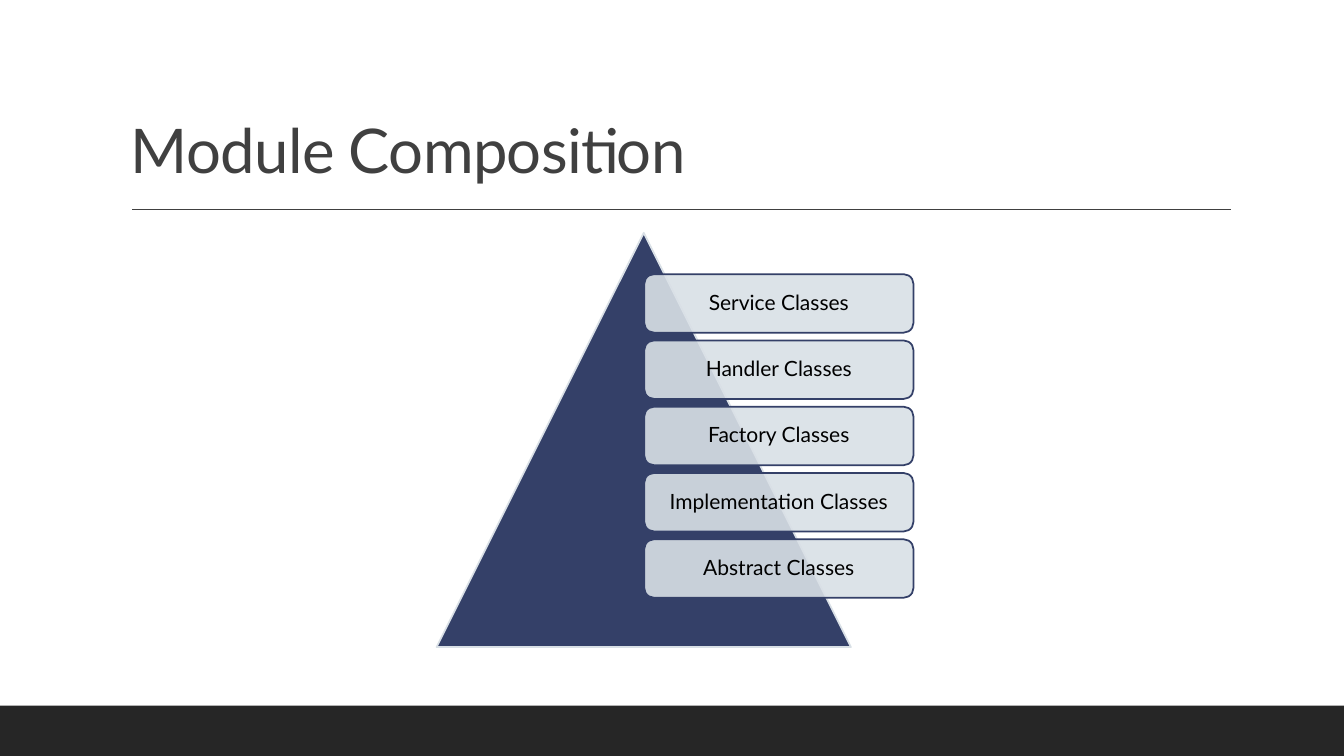
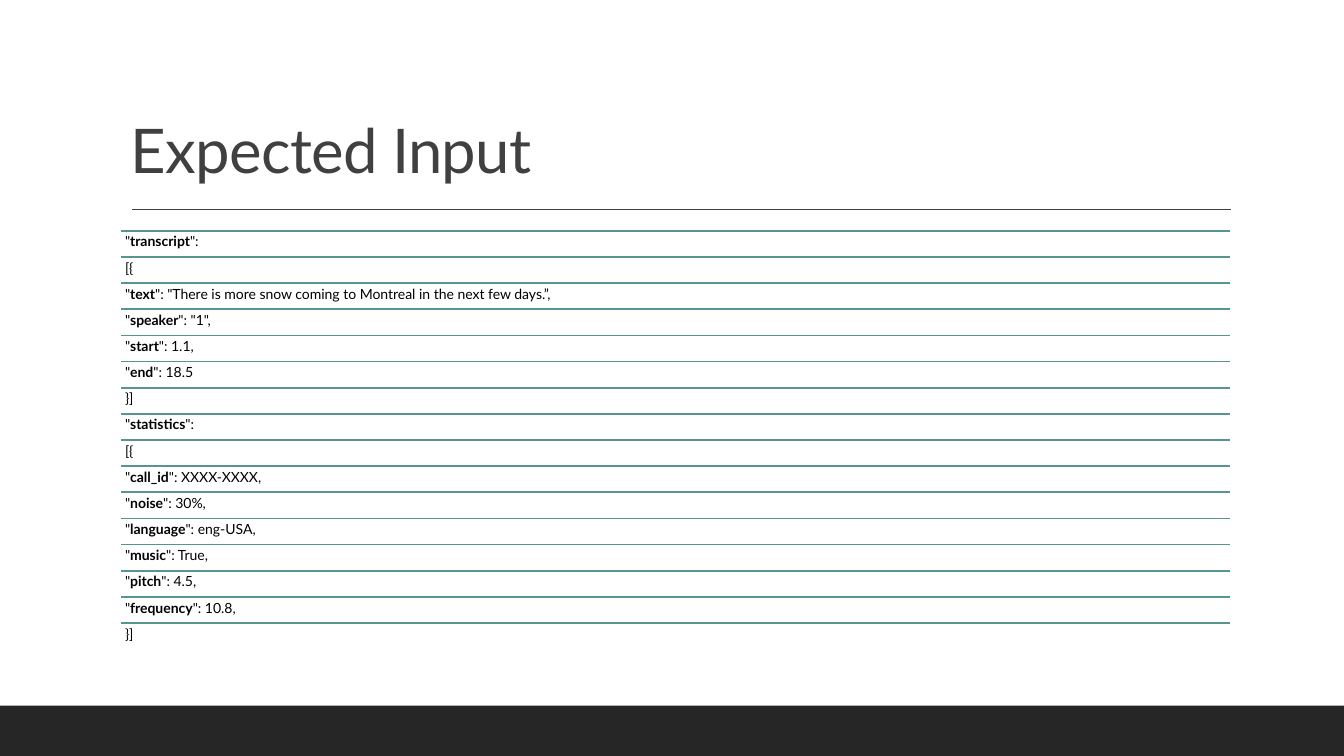
"""Build two slides: module composition and expected input."""
from pptx import Presentation
from pptx.dml.color import RGBColor
from pptx.enum.shapes import MSO_CONNECTOR, MSO_SHAPE
from pptx.enum.text import MSO_ANCHOR, PP_ALIGN
from pptx.oxml.ns import qn
from pptx.util import Inches, Pt

RECTANGLE = MSO_SHAPE.RECTANGLE
ROUNDED = MSO_SHAPE.ROUNDED_RECTANGLE
TRIANGLE = MSO_SHAPE.ISOSCELES_TRIANGLE
STRAIGHT = MSO_CONNECTOR.STRAIGHT
TOP, MIDDLE, BOTTOM = MSO_ANCHOR.TOP, MSO_ANCHOR.MIDDLE, MSO_ANCHOR.BOTTOM
LEFT, CENTER = PP_ALIGN.LEFT, PP_ALIGN.CENTER

FONT = "Lato"
BLACK = RGBColor(0x00, 0x00, 0x00)
CHARCOAL = RGBColor(0x26, 0x26, 0x26)
GREY = RGBColor(0x40, 0x40, 0x40)
NAVY = RGBColor(0x34, 0x40, 0x68)
PALE = RGBColor(0xD9, 0xE0, 0xE6)
TEAL = RGBColor(0x59, 0x94, 0x90)

SLIDE_WIDTH, SLIDE_HEIGHT = 13.33, 7.5
CONTENT_LEFT, CONTENT_WIDTH = 1.2, 11

CLASS_LAYERS = ["Service", "Handler", "Factory", "Implementation", "Abstract"]
INPUT_ROWS = [
    ("transcript", ":"),
    ("", "[{"),
    ("text", ': "There is more snow coming to Montreal in the next few days.”,'),
    ("speaker", ': "1",'),
    ("start", ": 1.1,"),
    ("end", ": 18.5"),
    ("", "}]"),
    ("statistics", ":"),
    ("", "[{"),
    ("call_id", ": XXXX-XXXX,"),
    ("noise", ": 30%,"),
    ("language", ": eng-USA,"),
    ("music", ": True,"),
    ("pitch", ": 4.5,"),
    ("frequency", ": 10.8,"),
    ("", "}]"),
]


def add_shape(slide, kind, left, top, width, height, fill, line=None):
    shape = slide.shapes.add_shape(
        kind, Inches(left), Inches(top), Inches(width), Inches(height))
    shape.shadow.inherit = False
    shape.fill.solid()
    shape.fill.fore_color.rgb = fill
    if line is None:
        shape.line.fill.background()
    else:
        shape.line.color.rgb = line
        shape.line.width = Pt(1.25)
    return shape


def set_opacity(shape, percent):
    color = shape._element.spPr.find(f"{qn('a:solidFill')}/{qn('a:srgbClr')}")
    color.makeelement(qn("a:alpha"), {})
    alpha = color.makeelement(qn("a:alpha"), {"val": str(percent * 1000)})
    color.append(alpha)


def add_rule(slide, left, top, width, color, weight):
    rule = slide.shapes.add_connector(
        STRAIGHT, Inches(left), Inches(top), Inches(left + width), Inches(top))
    rule.line.color.rgb = color
    rule.line.width = Pt(weight)
    properties = rule._element.spPr
    properties.append(properties.makeelement(qn("a:effectLst"), {}))


def add_text_box(slide, left, top, width, height):
    return slide.shapes.add_textbox(
        Inches(left), Inches(top), Inches(width), Inches(height))


def write_text(shape, parts, size, color, anchor, align, inset):
    """Write (text, bold) parts as one paragraph and return its runs."""
    frame = shape.text_frame
    frame.word_wrap = True
    frame.vertical_anchor = anchor
    frame.margin_left = frame.margin_right = Inches(inset)
    frame.margin_top = frame.margin_bottom = Inches(min(inset, 0.05))
    paragraph = frame.paragraphs[0]
    paragraph.alignment = align
    paragraph.line_spacing = 0.9
    for text, bold in parts:
        run = paragraph.add_run()
        run.text = text
        run.font.name = FONT
        run.font.size = Pt(size)
        run.font.bold = bold
        run.font.color.rgb = color
    return paragraph.runs


def add_titled_slide(presentation, title):
    slide = presentation.slides.add_slide(presentation.slide_layouts[6])
    add_shape(slide, RECTANGLE, 0, 7, SLIDE_WIDTH, 0.5, CHARCOAL)
    add_rule(slide, 1.31, 2.08, 10.9, GREY, 1)
    box = add_text_box(slide, CONTENT_LEFT, 0.31, CONTENT_WIDTH, 1.59)
    for run in write_text(box, [(title, False)], 44, GREY, BOTTOM, LEFT, 0.1):
        run.font._element.set("spc", "-50")
    return slide


def add_class_pyramid(slide, layers):
    add_shape(slide, TRIANGLE, 4.33, 2.31, 4.11, 4.11, NAVY, PALE)
    pitch = 2.63 / (len(layers) - 1)
    for index, layer in enumerate(layers):
        card = add_shape(slide, ROUNDED, 6.39, 2.72 + index * pitch,
                         2.67, 0.58, PALE, NAVY)
        set_opacity(card, 90)
        write_text(card, [(f"{layer} Classes", False)], 15, BLACK,
                   MIDDLE, CENTER, 0.09)


def add_ruled_list(slide, rows):
    top, height = 2.29, 4.15 / len(rows)
    for index, (key, rest) in enumerate(rows):
        row_top = top + index * height
        add_rule(slide, CONTENT_LEFT, row_top, CONTENT_WIDTH, TEAL, 1.25)
        box = add_text_box(slide, CONTENT_LEFT, row_top, CONTENT_WIDTH, height)
        parts = [(rest, False)]
        if key:
            parts = [('"', False), (key, True), ('"' + rest, False)]
        write_text(box, parts, 10, BLACK, TOP, LEFT, 0.04)


def main():
    presentation = Presentation()
    presentation.slide_width = Inches(SLIDE_WIDTH)
    presentation.slide_height = Inches(SLIDE_HEIGHT)
    add_class_pyramid(
        add_titled_slide(presentation, "Module Composition"), CLASS_LAYERS)
    add_ruled_list(
        add_titled_slide(presentation, "Expected Input"), INPUT_ROWS)
    presentation.save("out.pptx")


if __name__ == "__main__":
    main()
